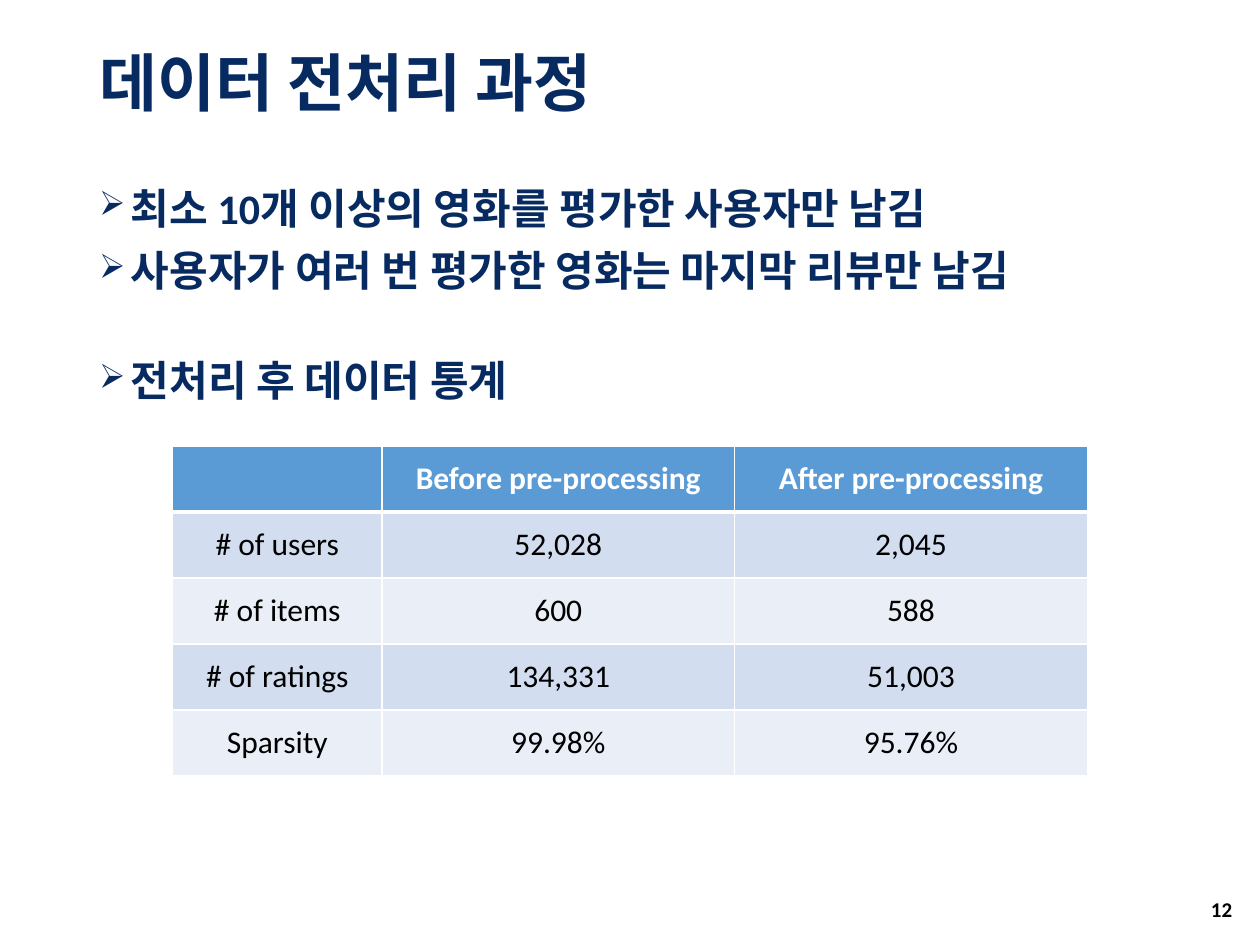
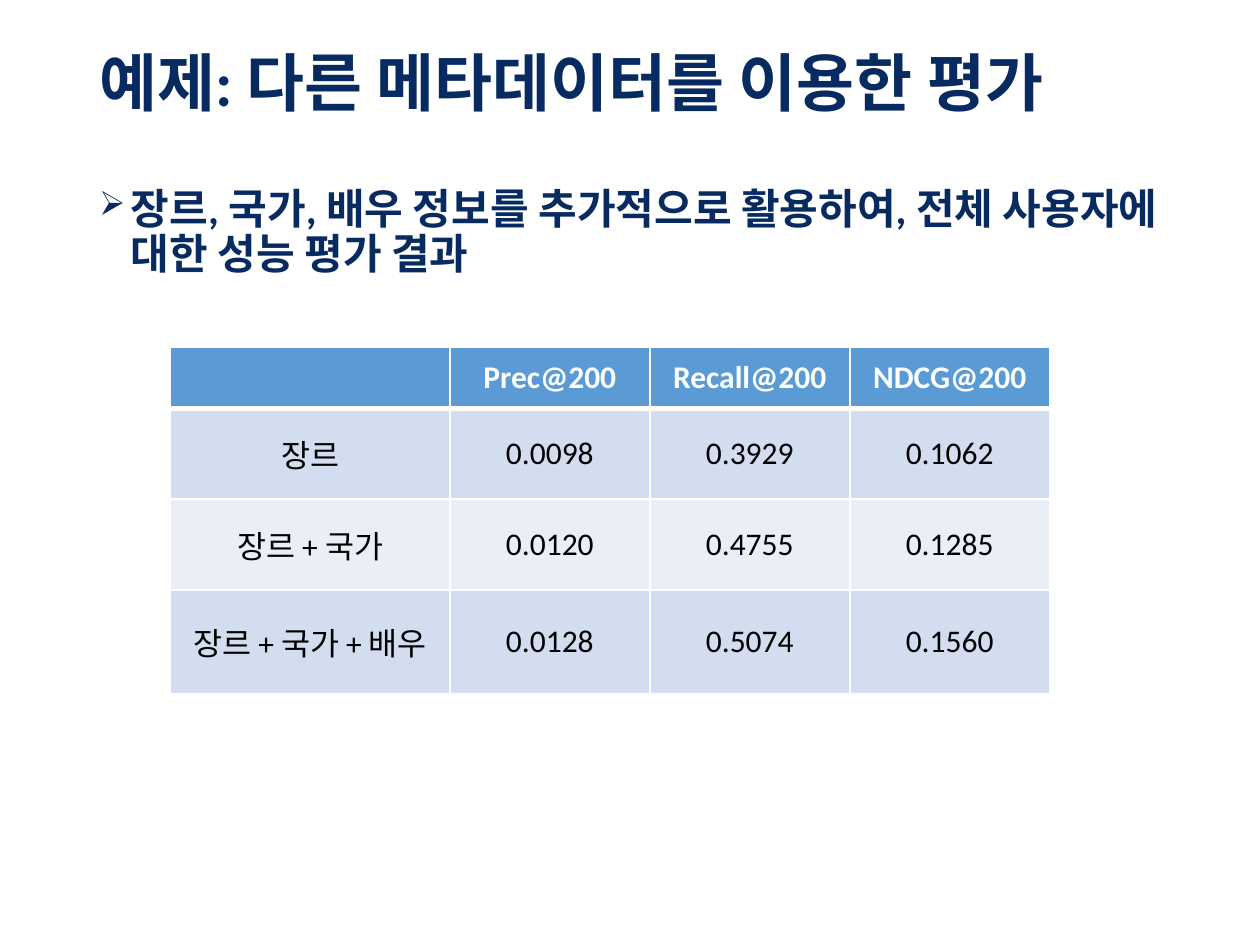
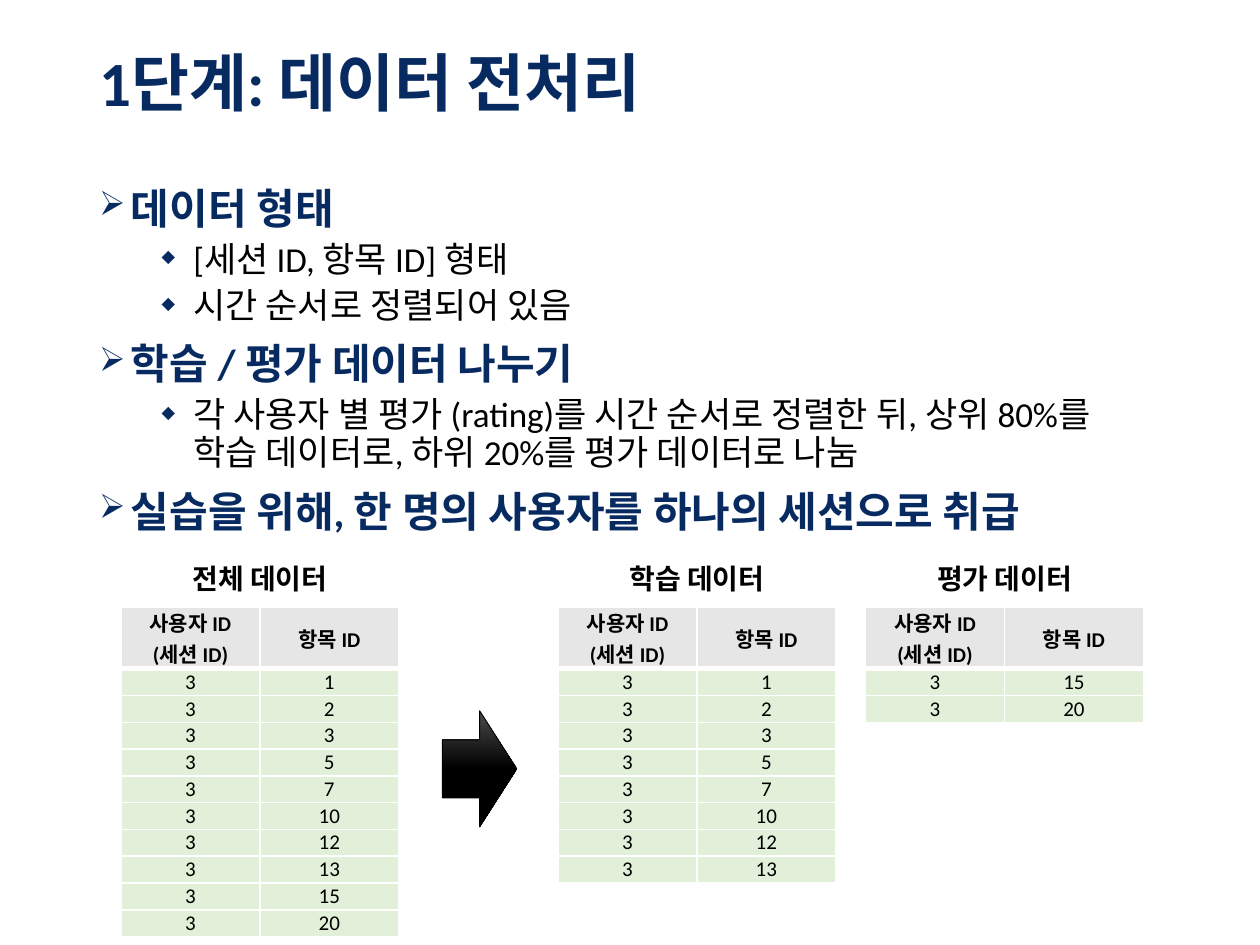
import pptx
import pptx.dml.color
import pptx.enum.shapes
import pptx.enum.text
import pptx.util
from lxml import etree
from pptx.oxml.ns import qn

Cm, Pt = pptx.util.Cm, pptx.util.Pt
ALIGN = pptx.enum.text.PP_ALIGN
MIDDLE = pptx.enum.text.MSO_ANCHOR.MIDDLE
TOP = pptx.enum.text.MSO_ANCHOR.TOP

# Shared style (lengths in cm)
FONT = "Calibri"
NAVY, BLACK, WHITE = "072B61", "000000", "FFFFFF"
TITLE_BOX = (1.75, 0.46, 21.9, 2.57)
BODY_LEFT, BODY_TOP, BODY_HEIGHT = 1.75, 3.66, 13.82
PAGE_BOX = (23.77, 17.81, 1.32, 1.02)
BULLETS = [  # one entry for each outline level
    dict(char="➢", percent=80, left=0.64, before=10, size=24, color=NAVY, bold=True),
    dict(char="◆", percent=50, left=1.9, before=5, size=20, color=BLACK, bold=False),
]
HANGING = 0.64
BLUE_TABLE = dict(header="5B9BD5", bands=("D2DEEF", "EAEFF7"), header_text=WHITE, size=18)
GREEN_TABLE = dict(header="E7E6E6", bands=("E2F0D9",), header_text=BLACK, size=12, margin=0)

# Content: body lines are (level, text) or (level, text, space before)
SLIDES = [
    dict(
        title="데이터 전처리 과정",
        page="12",
        body=[
            (0, "최소 10개 이상의 영화를 평가한 사용자만 남김"),
            (0, "사용자가 여러 번 평가한 영화는 마지막 리뷰만 남김"),
            (0, "전처리 후 데이터 통계", 37),
        ],
        table=dict(
            left=3.48, top=8.99, columns=[4.22, 7.11, 7.11], heights=[1.33] * 5,
            rows=[
                ("", "Before pre-processing", "After pre-processing"),
                ("# of users", "52,028", "2,045"),
                ("# of items", "600", "588"),
                ("# of ratings", "134,331", "51,003"),
                ("Sparsity", "99.98%", "95.76%"),
            ],
        ),
    ),
    dict(
        title="예제: 다른 메타데이터를 이용한 평가",
        body_width=22.96,
        body=[(0, "장르, 국가, 배우 정보를 추가적으로 활용하여, 전체 사용자에 대한 성능 평가 결과")],
        table=dict(
            left=3.43, top=7, columns=[5.64, 4.03, 4.03, 4.03], heights=[1.23, 1.83, 1.83, 2.1],
            rows=[
                ("", "Prec@200", "Recall@200", "NDCG@200"),
                ("장르", "0.0098", "0.3929", "0.1062"),
                ("장르 + 국가", "0.0120", "0.4755", "0.1285"),
                ("장르 + 국가 + 배우", "0.0128", "0.5074", "0.1560"),
            ],
        ),
    ),
    dict(
        title="1단계: 데이터 전처리",
        body=[
            (0, "데이터 형태"),
            (1, "[세션 ID, 항목 ID] 형태"),
            (1, "시간 순서로 정렬되어 있음"),
            (0, "학습 / 평가 데이터 나누기"),
            (1, "각 사용자 별 평가 (rating)를 시간 순서로 정렬한 뒤, "
                "상위 80%를 학습 데이터로, 하위 20%를 평가 데이터로 나눔"),
            (0, "실습을 위해, 한 명의 사용자를 하나의 세션으로 취급"),
        ],
    ),
]

# Session data on the last slide: every item belongs to one user
USER = "3"
SESSION_HEADER = ("사용자 ID\v(세션 ID)", "항목 ID")
ITEMS = ["1", "2", "3", "5", "7", "10", "12", "13", "15", "20"]
TRAIN_COUNT = len(ITEMS) * 80 // 100
SESSIONS = [
    ("전체 데이터", 2.44, ITEMS),
    ("학습 데이터", 11.25, ITEMS[:TRAIN_COUNT]),
    ("평가 데이터", 17.45, ITEMS[TRAIN_COUNT:]),
]
LABEL_TOP, LABEL_HEIGHT, SESSION_TOP, SESSION_COLUMN = 11.2, 0.94, 12.24, 2.8
SESSION_HEADER_HEIGHT, SESSION_ROW_HEIGHT = 1.24, 0.54
SPLIT_ARROW = (8.92, 14.33, 1.5, 2.34)


def rgb(color):
    return pptx.dml.color.RGBColor.from_string(color)


def write(paragraph, text, size=18, color=BLACK, bold=False, align=ALIGN.LEFT):
    paragraph.text = text
    paragraph.alignment = align
    for run in paragraph.runs:
        run.font.name, run.font.size, run.font.bold = FONT, Pt(size), bold
        run.font.color.rgb = rgb(color)
    for line_break in paragraph._p.findall(qn("a:br")):
        etree.SubElement(line_break, qn("a:rPr"), sz=str(size * 100))


def add_frame(slide, box, anchor=TOP):
    frame = slide.shapes.add_textbox(*map(Cm, box)).text_frame
    frame.word_wrap = True
    frame.vertical_anchor = anchor
    return frame


def set_bullet(paragraph, char, percent, left):
    properties = paragraph._p.get_or_add_pPr()
    properties.set("marL", str(Cm(left)))
    properties.set("indent", str(-Cm(HANGING)))
    color = etree.SubElement(properties, qn("a:buClr"))
    etree.SubElement(color, qn("a:srgbClr"), val=NAVY)
    etree.SubElement(properties, qn("a:buSzPct"), val=str(percent * 1000))
    etree.SubElement(properties, qn("a:buChar"), char=char)


def add_body(slide, lines, width):
    frame = add_frame(slide, (BODY_LEFT, BODY_TOP, width, BODY_HEIGHT))
    for index, (level, text, *before) in enumerate(lines):
        paragraph = frame.add_paragraph() if index else frame.paragraphs[0]
        style = BULLETS[level]
        write(paragraph, text, size=style["size"], color=style["color"], bold=style["bold"])
        paragraph.level = level
        paragraph.line_spacing = 0.9
        paragraph.space_before = Pt(before[0] if before else style["before"])
        set_bullet(paragraph, style["char"], style["percent"], style["left"])


def set_borders(cell, row):
    widths = dict(L=1, R=1, T=3 if row == 1 else 1, B=3 if row == 0 else 1)
    for side, width in widths.items():
        line = etree.SubElement(cell._tc.get_or_add_tcPr(), qn("a:ln" + side), w=str(Pt(width)))
        fill = etree.SubElement(line, qn("a:solidFill"))
        etree.SubElement(fill, qn("a:srgbClr"), val=WHITE)


def add_grid(slide, left, top, columns, heights, rows,
             header, bands, header_text, size, margin=None):
    table = slide.shapes.add_table(
        len(rows), len(columns), *map(Cm, (left, top, sum(columns), sum(heights)))).table
    table.horz_banding = False
    for column, width in zip(table.columns, columns):
        column.width = Cm(width)
    for r, values in enumerate(rows):
        table.rows[r].height = Cm(heights[r])
        for c, value in enumerate(values):
            cell = table.cell(r, c)
            cell.vertical_anchor = MIDDLE
            if margin is not None:
                cell.margin_left = cell.margin_right = Cm(margin)
                cell.margin_top = cell.margin_bottom = Cm(margin)
            set_borders(cell, r)
            cell.fill.solid()
            cell.fill.fore_color.rgb = rgb(bands[(r - 1) % len(bands)] if r else header)
            write(cell.text_frame.paragraphs[0], value, size=size, bold=r == 0,
                  color=BLACK if r else header_text, align=ALIGN.CENTER)


def add_sessions(slide):
    columns = [SESSION_COLUMN] * len(SESSION_HEADER)
    for label, left, items in SESSIONS:
        rows = [SESSION_HEADER] + [(USER, item) for item in items]
        heights = [SESSION_HEADER_HEIGHT] + [SESSION_ROW_HEIGHT] * len(items)
        add_grid(slide, left, SESSION_TOP, columns, heights, rows, **GREEN_TABLE)
        frame = add_frame(slide, (left, LABEL_TOP, sum(columns), LABEL_HEIGHT))
        write(frame.paragraphs[0], label, size=16, bold=True, align=ALIGN.CENTER)

    # Arrow from all data to the split data
    arrow = slide.shapes.add_shape(
        pptx.enum.shapes.MSO_SHAPE.RIGHT_ARROW, *map(Cm, SPLIT_ARROW))
    arrow.shadow.inherit = False
    arrow.fill.gradient()
    arrow.fill.gradient_angle = 270
    for stop, (position, color) in zip(arrow.fill.gradient_stops, [(0, "4B4B4B"), (0.5, BLACK)]):
        stop.position = position
        stop.color.rgb = rgb(color)
    arrow.line.color.rgb = rgb(BLACK)
    arrow.line.width = Pt(0.5)


def main():
    deck = pptx.Presentation()
    deck.slide_width, deck.slide_height = Cm(25.4), Cm(19.05)
    for content in SLIDES:
        slide = deck.slides.add_slide(deck.slide_layouts[6])
        title = add_frame(slide, TITLE_BOX, MIDDLE).paragraphs[0]
        write(title, content["title"], size=36, color=NAVY, bold=True)
        title.line_spacing = 0.9
        add_body(slide, content["body"], content.get("body_width", 21.9))
        if "page" in content:
            number = add_frame(slide, PAGE_BOX, MIDDLE).paragraphs[0]
            write(number, content["page"], size=12, bold=True, align=ALIGN.RIGHT)
        if "table" in content:
            add_grid(slide, **content["table"], **BLUE_TABLE)
    add_sessions(slide)
    deck.save("out.pptx")


if __name__ == "__main__":
    main()
